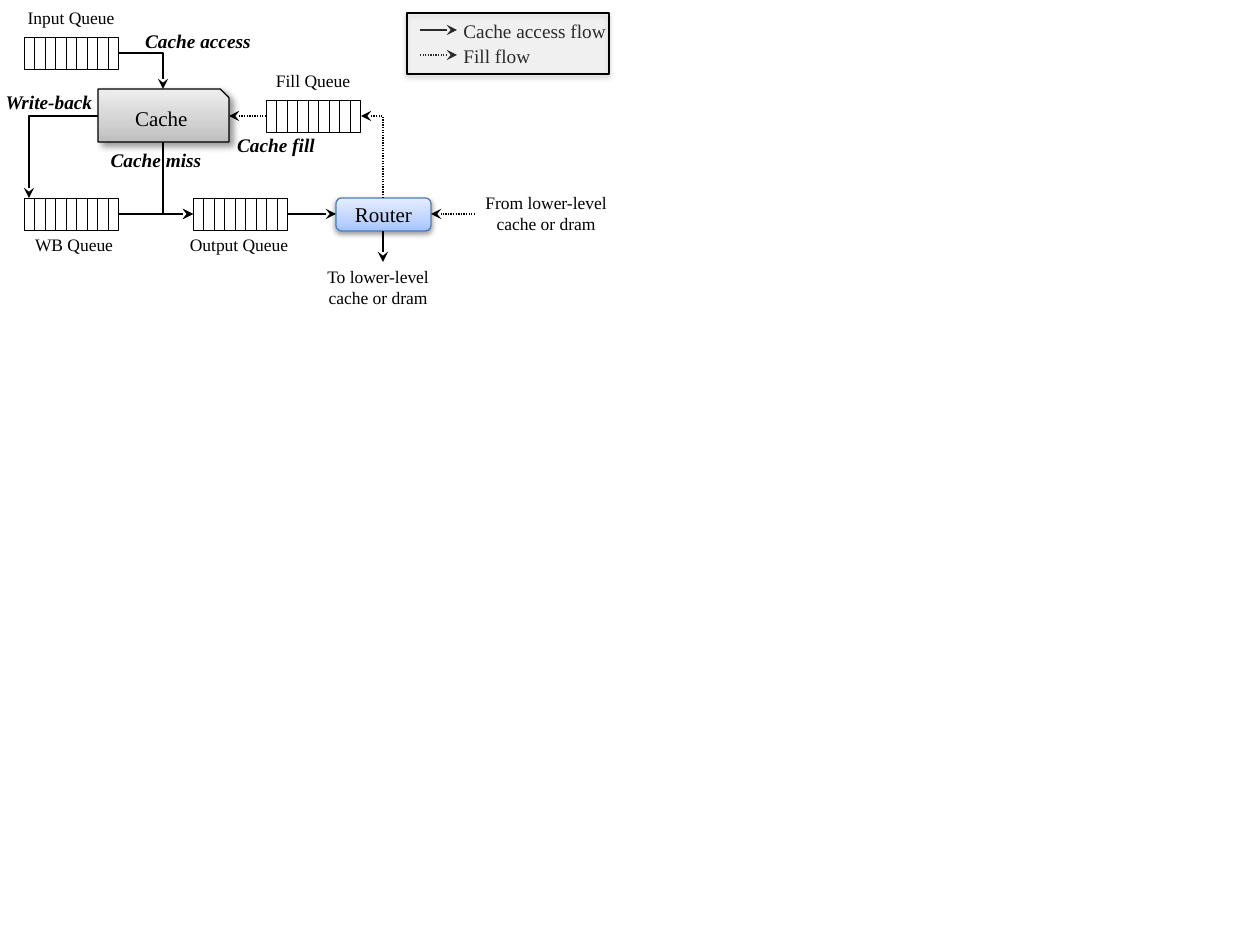
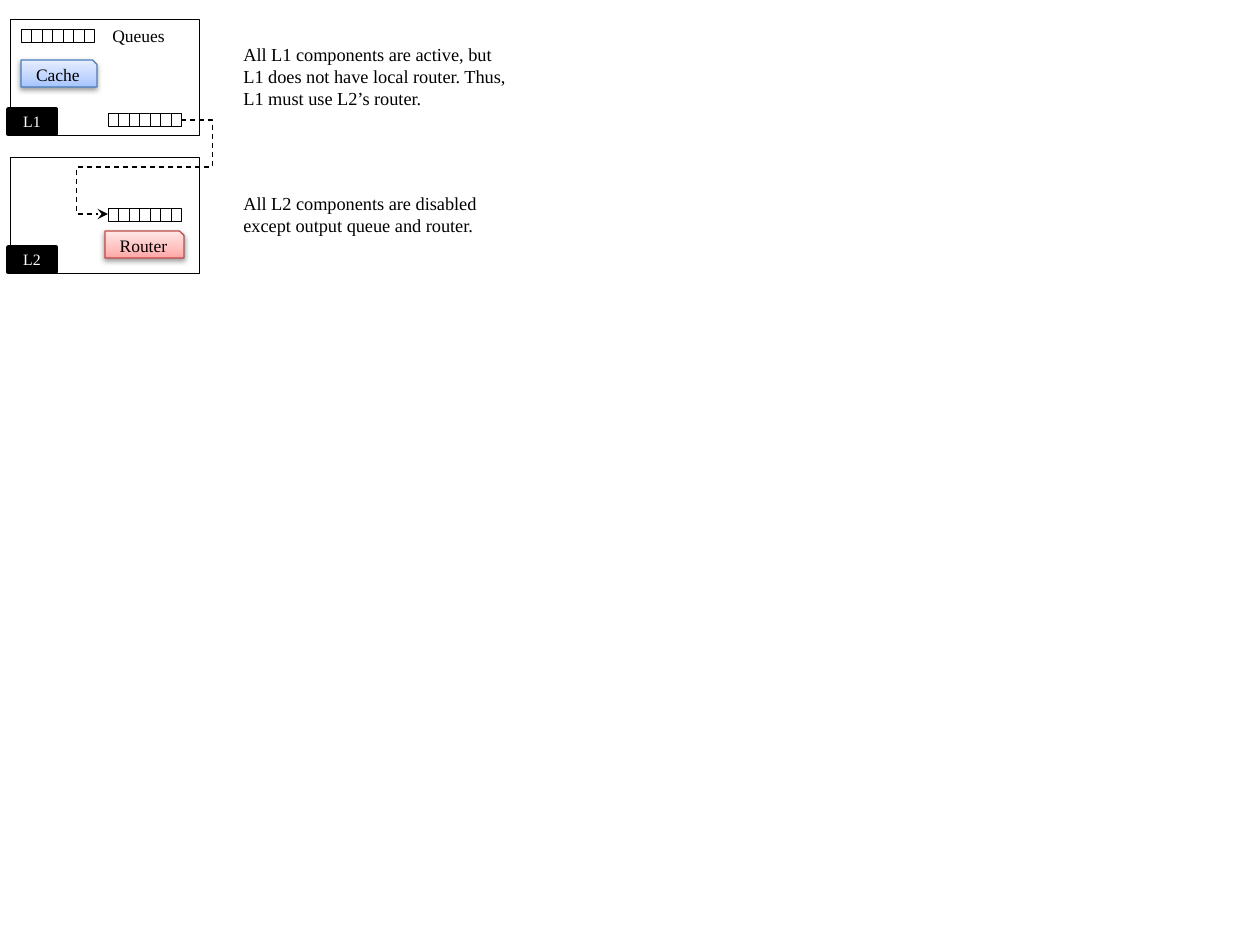
from copy import deepcopy

from pptx import Presentation
from pptx.dml.color import RGBColor
from pptx.enum.dml import MSO_LINE
from pptx.enum.shapes import MSO_CONNECTOR, MSO_SHAPE
from pptx.enum.text import MSO_ANCHOR, MSO_AUTO_SIZE, PP_ALIGN
from pptx.oxml import parse_xml
from pptx.oxml.ns import nsdecls, qn
from pptx.util import Pt

PIXEL = 914400 / 126
FONT = "Times New Roman"
BLACK = RGBColor(0x00, 0x00, 0x00)
WHITE = RGBColor(0xFF, 0xFF, 0xFF)
BLUE_EDGE = RGBColor(0x4B, 0x7E, 0xBC)
RED_EDGE = RGBColor(0xBF, 0x4C, 0x48)

# Gradients run from bottom to top
STOPS = (0, 0.35, 1)
GRAY = (RGBColor(0xBD, 0xBD, 0xBD), RGBColor(0xD1, 0xD1, 0xD1), RGBColor(0xEE, 0xEE, 0xEE))
BLUE = (RGBColor(0xA4, 0xC4, 0xFF), RGBColor(0xBF, 0xD4, 0xFF), RGBColor(0xE6, 0xEE, 0xFF))
RED = (RGBColor(0xFF, 0xA6, 0xA5), RGBColor(0xFF, 0xC0, 0xBF), RGBColor(0xFF, 0xE7, 0xE7))

# Shadows: opacity %, blur pt, distance pt, direction in degrees
SOFT_SHADOW = (38, 3.1, 1.6, 90)
DEEP_SHADOW = (40, 4, 3, 45)


def emu(*pixels):
    return [round(pixel * PIXEL) for pixel in pixels]


class Diagram:
    """Draws the elements of a diagram on the current slide."""

    def __init__(self, deck):
        self.deck = deck
        self.page = None

    def new_page(self):
        self.page = self.deck.slides.add_slide(self.deck.slide_layouts[6])

    def set_text(self, frame, text, size, color=BLACK, align=PP_ALIGN.CENTER, strong=False):
        frame.word_wrap = True
        para = frame.paragraphs[0]
        para.text = text
        para.alignment = align
        font = para.font
        font.name, font.size, font.color.rgb = FONT, Pt(size), color
        if strong:
            font.bold = font.italic = True

    def label(self, left, top, width, height, text, size=10, **style):
        box = self.page.shapes.add_textbox(*emu(left, top, width, height))
        self.set_text(box.text_frame, text, size, **style)
        box.text_frame.auto_size = MSO_AUTO_SIZE.SHAPE_TO_FIT_TEXT

    def rect(self, left, top, width, height, fill=WHITE, weight=0.25,
             kind=MSO_SHAPE.RECTANGLE, parent=None):
        shapes = (parent or self.page).shapes
        shape = shapes.add_shape(kind, *emu(left, top, width, height))
        shape.shadow.inherit = False
        shape.fill.solid()
        shape.fill.fore_color.rgb = fill
        shape.line.color.rgb = BLACK
        shape.line.width = Pt(weight)
        return shape

    def cast_shadow(self, shape, shadow):
        opacity, blur, distance, direction = shadow
        effects = shape._element.spPr.find(qn("a:effectLst"))
        effects.append(parse_xml(
            f'<a:outerShdw {nsdecls("a")} blurRad="{Pt(blur)}" dist="{Pt(distance)}" '
            f'dir="{direction * 60000}" rotWithShape="0"><a:srgbClr val="000000">'
            f'<a:alpha val="{opacity * 1000}"/></a:srgbClr></a:outerShdw>'))

    def block(self, left, top, width, height, text, size, colors, edge,
              kind=MSO_SHAPE.SNIP_1_RECTANGLE, shadow=SOFT_SHADOW):
        shape = self.rect(left, top, width, height, weight=0.75, kind=kind)
        shape.line.color.rgb = edge
        shape.fill.gradient()
        shape.fill.gradient_angle = 90
        stop_list = shape._element.spPr.find(qn("a:gradFill")).find(qn("a:gsLst"))
        stop_list.append(deepcopy(stop_list[-1]))
        for stop, position, color in zip(shape.fill.gradient_stops, STOPS, colors):
            stop.position = position
            stop.color.rgb = color
        self.cast_shadow(shape, shadow)
        shape.text_frame.vertical_anchor = MSO_ANCHOR.MIDDLE
        self.set_text(shape.text_frame, text, size)

    def badge(self, left, top, text):
        shape = self.rect(left, top, 48, 25, fill=BLACK, weight=2)
        shape.text_frame.vertical_anchor = MSO_ANCHOR.MIDDLE
        self.set_text(shape.text_frame, text, 9, WHITE)

    def glass(self, left, top, width, height, opacity):
        shape = self.rect(left, top, width, height, weight=0.75)
        color = shape._element.spPr.find(qn("a:solidFill"))[0]
        color.append(parse_xml(f'<a:alpha {nsdecls("a")} val="{opacity * 1000}"/>'))
        self.cast_shadow(shape, SOFT_SHADOW)

    def queue(self, left, top, cells, height):
        group = self.page.shapes.add_group_shape()
        for index in range(cells):
            self.rect(left + index * 10.5, top, 10.5, height, parent=group)

    def arrow(self, x1, y1, x2, y2, dash=None, kind=MSO_CONNECTOR.STRAIGHT):
        line = self.page.shapes.add_connector(kind, *emu(x1, y1, x2, y2))
        line.line.color.rgb = BLACK
        line.line.width = Pt(0.75)
        if dash:
            line.line.dash_style = dash
        properties = line._element.spPr
        properties.find(qn("a:ln")).append(
            parse_xml(f'<a:tailEnd {nsdecls("a")} type="stealth"/>'))
        properties.append(parse_xml(f'<a:effectLst {nsdecls("a")}/>'))
        return line

    def elbow(self, x1, y1, x2, y2, dash=None, vertical_first=False):
        """One bend; a vertical start is a horizontal one turned by 270 degrees."""
        if vertical_first:
            middle_x, middle_y = (x1 + x2) / 2, (y1 + y2) / 2
            half_x, half_y = (x2 - x1) / 2, (y2 - y1) / 2
            x1, x2 = middle_x + half_y, middle_x - half_y
            y1, y2 = middle_y - half_x, middle_y + half_x
        line = self.arrow(x1, y1, x2, y2, dash, MSO_CONNECTOR.ELBOW)
        properties = line._element.spPr
        properties.find(qn("a:prstGeom")).set("prst", "bentConnector2")
        if vertical_first:
            properties.find(qn("a:xfrm")).set("rot", str(270 * 60000))

    def detour(self, x1, y1, x2, y2, dash, adjustments):
        line = self.arrow(x1, y1, x2, y2, dash, MSO_CONNECTOR.ELBOW)
        geometry = line._element.spPr.find(qn("a:prstGeom"))
        geometry.set("prst", "bentConnector5")
        guides = "".join(f'<a:gd name="adj{number}" fmla="val {value}"/>'
                         for number, value in enumerate(adjustments, 1))
        for old in list(geometry):
            geometry.remove(old)
        geometry.append(parse_xml(f'<a:avLst {nsdecls("a")}>{guides}</a:avLst>'))


deck = Presentation()
deck.slide_width, deck.slide_height = emu(1260, 945)
diagram = Diagram(deck)
DOTTED = MSO_LINE.ROUND_DOT

# Slide 1: cache, queues and router
diagram.new_page()
diagram.block(98, 89, 131, 53, "Cache", 12, GRAY, BLACK, shadow=DEEP_SHADOW)
diagram.block(336, 198, 95, 33, "Router", 12, BLUE, BLUE_EDGE,
              kind=MSO_SHAPE.ROUNDED_RECTANGLE)

for name, left, top, label_left, label_top in (
        ("Fill Queue", 266, 100, 229, 64),
        ("Output Queue", 193, 198, 155, 228),
        ("WB Queue", 24, 198, -10, 228),
        ("Input Queue", 24, 37, -13, 1)):
    diagram.queue(left, top, 9, 32)
    diagram.label(label_left, label_top, 168, 34, name)

# Access flow
diagram.elbow(118, 53, 163, 89)
diagram.elbow(98, 116, 29, 198)
diagram.elbow(163, 142, 193, 214, vertical_first=True)
diagram.arrow(118, 214, 193, 214)
diagram.arrow(288, 214, 336, 214)
diagram.arrow(383, 231, 383, 262)

# Fill flow
diagram.arrow(475, 214, 431, 214, DOTTED)
diagram.elbow(383, 198, 361, 116, DOTTED, vertical_first=True)
diagram.arrow(266, 116, 229, 116, DOTTED)

# Flow names and outside levels
for name, left, top in (("Cache access", 130, 23), ("Write-back", -19, 84),
                        ("Cache miss", 88, 142), ("Cache fill", 208, 127)):
    diagram.label(left, top, 136, 37, name, 11, strong=True)
diagram.label(294, 260, 168, 55, "To lower-level cache or dram")
diagram.label(462, 186, 168, 55, "From lower-level cache or dram")

# Legend under a translucent cover
for name, top, width, dash in (("Cache access flow", 13, 189, None),
                               ("Fill flow", 38, 126, DOTTED)):
    diagram.arrow(420, top + 17, 457, top + 17, dash)
    diagram.label(451, top, width, 37, name, 11, align=PP_ALIGN.LEFT)
diagram.glass(407, 13, 202, 61, 17)

# Slide 2: L1 borrowing the router of L2
diagram.new_page()
for level, top in (("L1", 19), ("L2", 157)):
    diagram.rect(10, top, 189, 116)
    diagram.badge(8, top + 90, level)
for left, top in ((21, 29), (108, 113), (108, 208)):
    diagram.queue(left, top, 7, 13)
diagram.label(100, 19, 89, 34, "Queues", align=PP_ALIGN.LEFT)
diagram.block(21, 60, 76, 27, "Cache", 10, BLUE, BLUE_EDGE)
diagram.block(105, 231, 79, 27, "Router", 10, RED, RED_EDGE)
diagram.detour(181, 120, 108, 214, MSO_LINE.DASH, (-42900, 50000, 142900))

# Explanations
diagram.label(231, 37, 294, 79, "All L1 components are active, but L1 does not have local router. "
              "Thus, L1 must use L2’s router.", 10.5, align=PP_ALIGN.LEFT)
diagram.label(231, 186, 294, 57, "All L2 components are disabled except output queue and router.",
              10.5, align=PP_ALIGN.LEFT)

deck.save("out.pptx")
